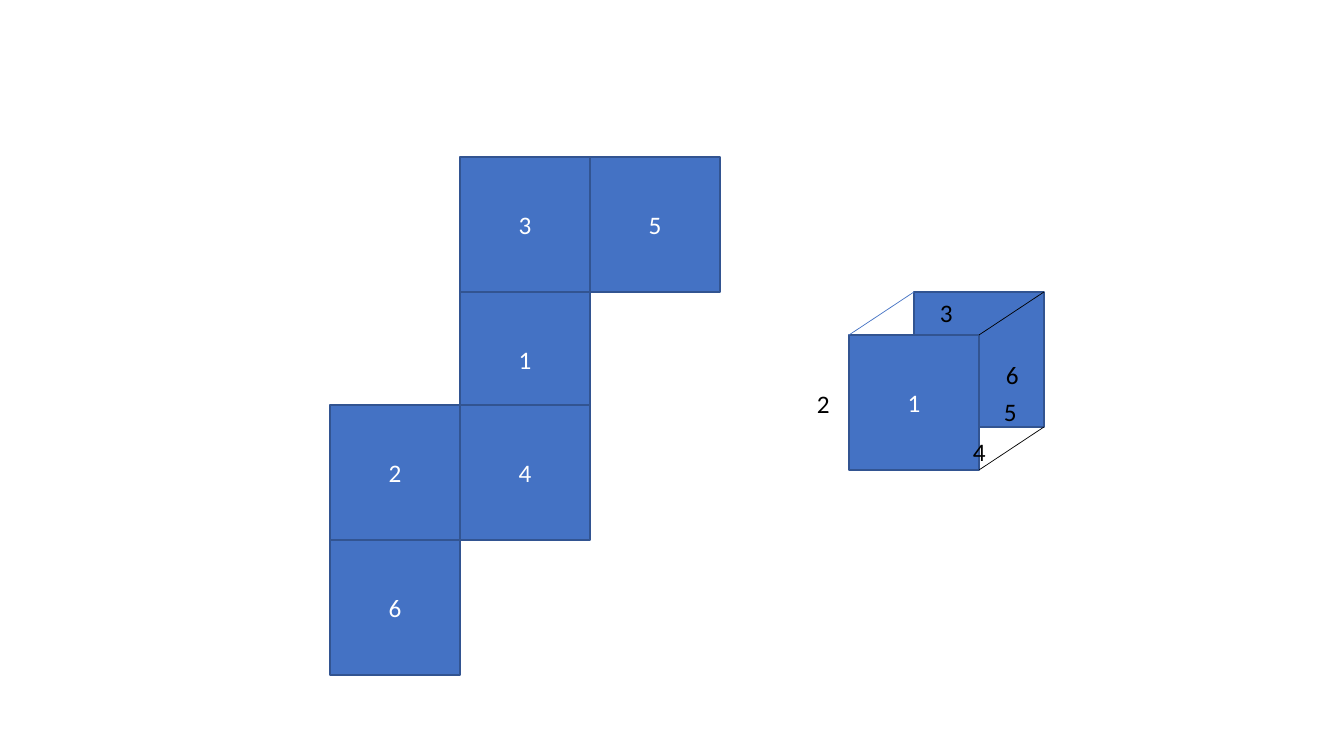
from lxml import etree
from pptx import Presentation
from pptx.dml.color import RGBColor
from pptx.enum.shapes import MSO_CONNECTOR, MSO_SHAPE
from pptx.enum.text import MSO_ANCHOR, MSO_AUTO_SIZE, PP_ALIGN
from pptx.oxml.ns import qn
from pptx.util import Emu, Pt

SQUARE = MSO_SHAPE.RECTANGLE
STRAIGHT = MSO_CONNECTOR.STRAIGHT
MIDDLE = MSO_ANCHOR.MIDDLE
TOP = MSO_ANCHOR.TOP
FIT_SHAPE = MSO_AUTO_SIZE.SHAPE_TO_FIT_TEXT
NO_FIT = MSO_AUTO_SIZE.NONE
CENTER = PP_ALIGN.CENTER
LEFT = PP_ALIGN.LEFT

BLUE = RGBColor(0x44, 0x72, 0xC4)
EDGE = RGBColor(0x32, 0x54, 0x91)
WHITE = RGBColor(0xFF, 0xFF, 0xFF)
BLACK = RGBColor(0x00, 0x00, 0x00)

EMU_PER_PIXEL = 914400 / 100.8
FACE_WIDTH, FACE_HEIGHT = 130, 135
LABEL_WIDTH, LABEL_HEIGHT = 33, 40


def px(length):
    return Emu(round(length * EMU_PER_PIXEL))


class CubeSlide:
    font = {"name": "Calibri", "size": Pt(18)}
    face_frame = {"vertical_anchor": MIDDLE, "word_wrap": True, "auto_size": NO_FIT}
    label_frame = {"vertical_anchor": TOP, "word_wrap": False, "auto_size": FIT_SHAPE}

    def __init__(self, slide):
        self.shapes = slide.shapes

    def apply(self, target, values):
        for attribute, value in values.items():
            setattr(target, attribute, value)

    def put_number(self, frame, number, layout, align, color):
        self.apply(frame, layout)
        paragraph = frame.paragraphs[0]
        paragraph.alignment = align
        run = paragraph.add_run()
        run.text = number
        self.apply(run.font, self.font)
        run.font.color.rgb = color

    def face(self, left, top, number=None):
        square = self.shapes.add_shape(
            SQUARE, px(left), px(top), px(FACE_WIDTH), px(FACE_HEIGHT))
        square.shadow.inherit = False
        square.fill.solid()
        square.fill.fore_color.rgb = BLUE
        square.line.color.rgb = EDGE
        square.line.width = Pt(1)
        if number:
            self.put_number(square.text_frame, number, self.face_frame, CENTER, WHITE)

    def edge(self, start, end, color):
        line = self.shapes.add_connector(STRAIGHT, *map(px, start + end))
        line.line.color.rgb = color
        line.line.width = Pt(0.5)
        etree.SubElement(line._element.spPr, qn("a:effectLst"))

    def label(self, left, top, number):
        box = self.shapes.add_textbox(
            px(left), px(top), px(LABEL_WIDTH), px(LABEL_HEIGHT))
        self.put_number(box.text_frame, number, self.label_frame, LEFT, BLACK)


presentation = Presentation()
presentation.slide_width = px(1344)
presentation.slide_height = px(756)
cube = CubeSlide(presentation.slides.add_slide(presentation.slide_layouts[6]))

net_left, net_top, lower_net_top = 330, 157, 405
columns = [net_left + FACE_WIDTH * step for step in range(3)]
upper_rows = [net_top, net_top + FACE_HEIGHT]
lower_rows = [lower_net_top, lower_net_top + FACE_HEIGHT]
net = [
    (columns[1], upper_rows[0], "3"),
    (columns[2], upper_rows[0], "5"),
    (columns[1], upper_rows[1], "1"),
    (columns[1], lower_rows[0], "4"),
    (columns[0], lower_rows[0], "2"),
    (columns[0], lower_rows[1], "6"),
]
for left, top, number in net:
    cube.face(left, top, number)

front_left, front_top = 849, 335
depth_x, depth_y = 65, -43
cube.face(front_left + depth_x, front_top + depth_y)
cube.face(front_left, front_top, "1")

corners = [(0, 0, BLUE), (FACE_WIDTH, 0, BLACK), (FACE_WIDTH, FACE_HEIGHT, BLACK)]
for across, down, color in corners:
    x, y = front_left + across, front_top + down
    cube.edge((x, y), (x + depth_x, y + depth_y), color)

side_labels = [
    (994, 391, "5"),
    (930, 292, "3"),
    (996, 354, "6"),
    (963, 431, "4"),
    (807, 383, "2"),
]
for left, top, number in side_labels:
    cube.label(left, top, number)

presentation.save("out.pptx")
